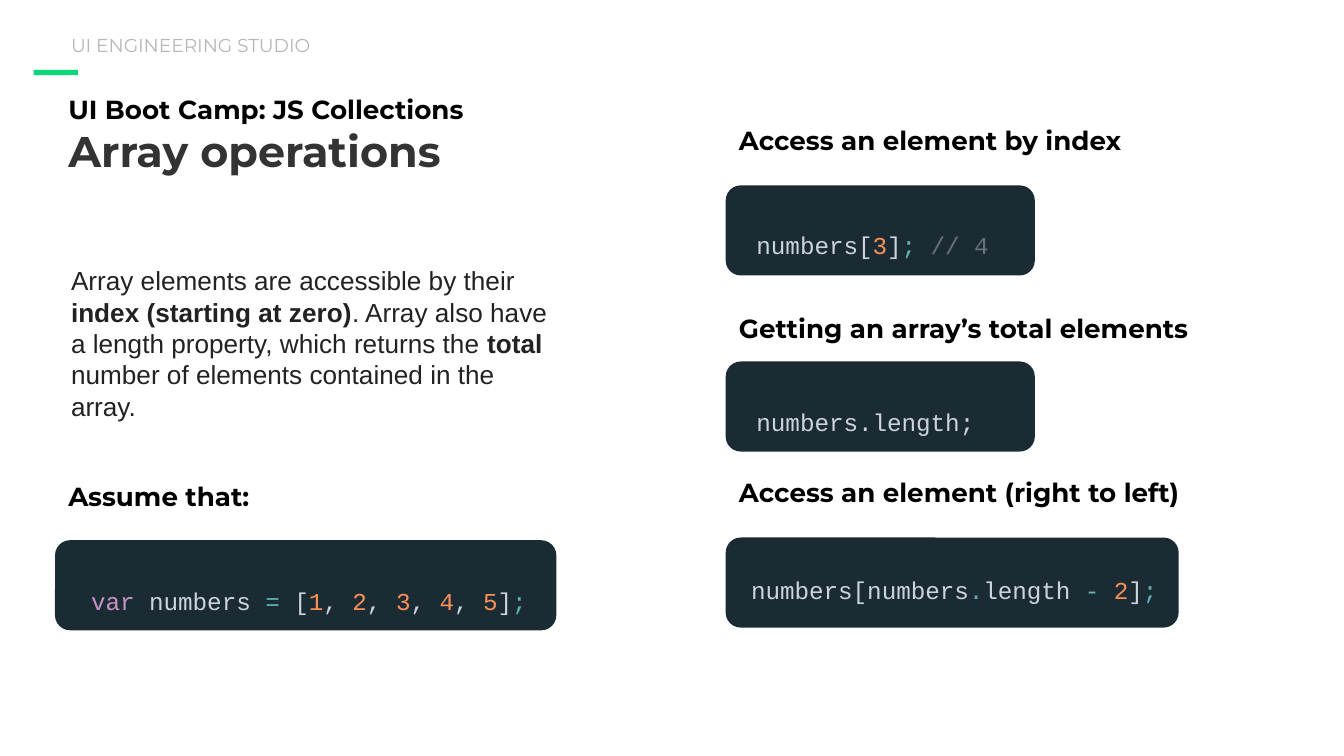
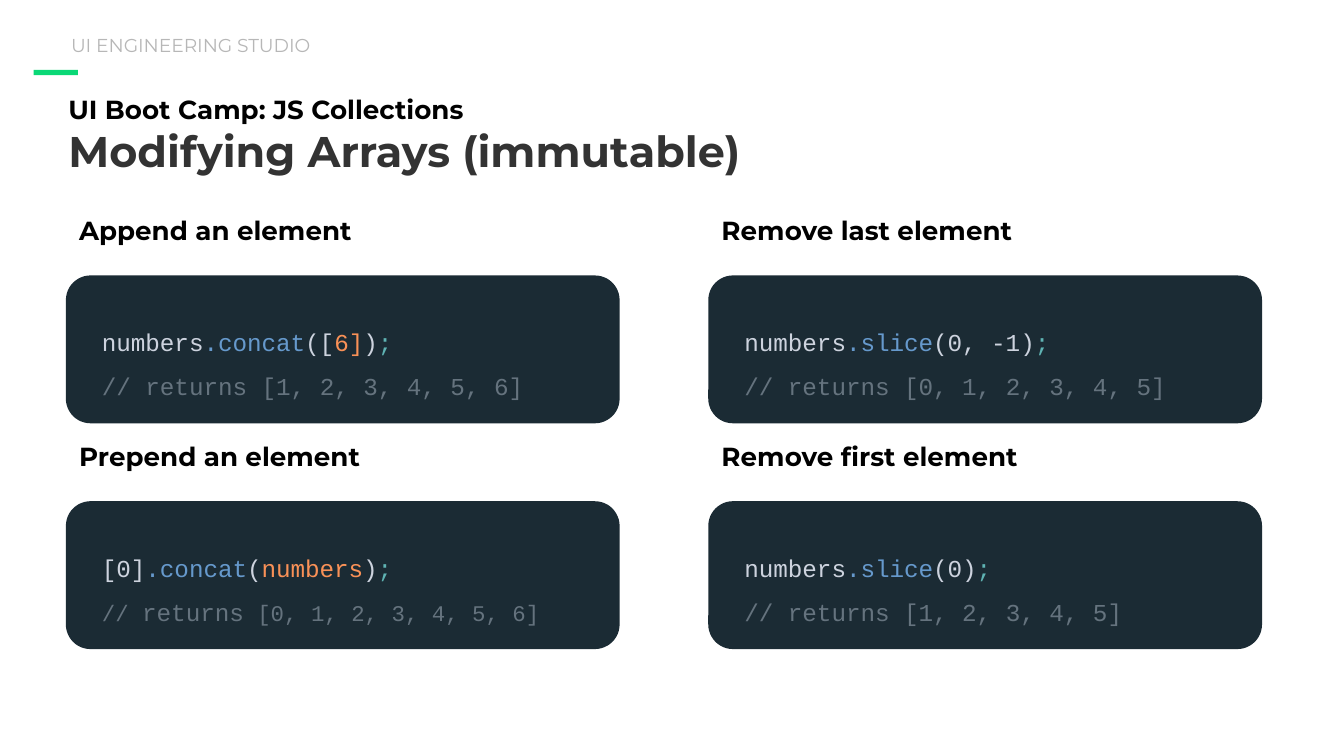
from pptx import Presentation
from pptx import util as u
from pptx.dml.color import RGBColor
from pptx.enum import shapes, text

BLACK = RGBColor(0x00, 0x00, 0x00)
DARK = RGBColor(0x33, 0x33, 0x33)
INK = RGBColor(0x22, 0x22, 0x22)
PALE = RGBColor(0xB7, 0xB7, 0xB7)
GREEN = RGBColor(0x0A, 0xD8, 0x76)
NAVY = RGBColor(0x1B, 0x2B, 0x34)
WHITE = RGBColor(0xFF, 0xFF, 0xFF)
BASE = RGBColor(0xCD, 0xD3, 0xDE)
TEAL = RGBColor(0x5F, 0xB3, 0xB3)
CORAL = RGBColor(0xF9, 0x91, 0x57)
BLUE = RGBColor(0x66, 0x99, 0xCC)
MAUVE = RGBColor(0xC5, 0x94, 0xC5)
GREY = RGBColor(0x65, 0x73, 0x7E)

WIDE = 10
HIGH = WIDE * 9 / 16
HEAD, BODY, CODE = "Montserrat", "Arial", "Courier New"
STUDIO = "UI ENGINEERING STUDIO"
COURSE = "UI Boot Camp: JS Collections"
END = (";", TEAL)

INTRO = [
    ("Array elements are accessible by their ", False),
    ("index (starting at zero)", True),
    (". Array also have a length property, which returns the ", False),
    ("total", True),
    (" number of elements contained in the array.", False),
]

LIST = [("var", MAUVE), (" numbers", BASE), (" =", TEAL), (" [", BASE), ("1", CORAL)]
for digit in "2345":
    LIST += [(", ", BASE), (digit, CORAL)]
LIST += [("]", BASE), END]

ACCESS = [
    ("Assume that:", (0.41, 4.02, 3.73), (0.58, 3.14), (0.17, 0.12, 3.86), LIST),
    ("Access an element by index", (5.4, 1.38, 2.3), (0.59, 3.14), (0.13, 0.11, 2.02),
     [("numbers[", BASE), ("3", CORAL), ("]", BASE), END, (" // 4", GREY)]),
    ("Getting an array’s total elements", (5.4, 2.69, 2.3), (0.5, 3.65), (0.13, 0.12, 2.02),
     [("numbers.length;", BASE)]),
    ("Access an element (right to left)", (5.4, 4, 3.37), (0.59, 3.65), (0.09, 0.06, 3.28),
     [("numbers[numbers", BASE), (".", TEAL), ("length", BASE), (" - ", TEAL),
      ("2", CORAL), ("]", BASE), END]),
]

CHANGE = [
    [("Append an element",
      [("numbers", BASE), (".concat", BLUE), ("([", BASE), ("6]", CORAL), (")", BASE), END],
      [("// returns [1, 2, 3, 4, 5, 6]", GREY)]),
     ("Remove last element",
      [("numbers", BASE), (".slice", BLUE), ("(0, -1)", BASE), END],
      [("// returns [0, 1, 2, 3, 4, 5]", GREY)])],
    [("Prepend an element",
      [("[0]", BASE), (".concat", BLUE), ("(", BASE), ("numbers", CORAL), (")", BASE), END],
      [("// ", GREY, 12), ("returns", GREY), (" [0, 1, 2, 3, 4, 5, 6]", GREY, 12)]),
     ("Remove first element",
      [("numbers", BASE), (".slice", BLUE), ("(0)", BASE), END],
      [("// returns [1, 2, 3, 4, 5]", GREY)])],
]


def span(*sizes):
    return [u.Inches(size) for size in sizes]


def block(slide, kind, place, color):
    shape = slide.shapes.add_shape(kind, *span(*place))
    shape.shadow.inherit = False
    shape.fill.solid()
    shape.fill.fore_color.rgb = color
    shape.line.fill.background()


def frame(slide, place, middle=False):
    box = slide.shapes.add_textbox(*span(*place)).text_frame
    box.word_wrap = True
    box.margin_left = box.margin_right = u.Inches(0.1)
    box.margin_top = box.margin_bottom = u.Inches(0.1)
    box.vertical_anchor = text.MSO_ANCHOR.MIDDLE if middle else text.MSO_ANCHOR.TOP
    return box


def write(para, words, face, size, color, bold=False):
    run = para.add_run()
    run.text = words
    run.font.name = face
    run.font.size = u.Pt(size)
    run.font.bold = bold
    run.font.color.rgb = color


def label(slide, words, place, size=14, color=BLACK, bold=True, middle=False):
    box = frame(slide, place, middle)
    para = box.paragraphs[0]
    para.line_spacing = 1.15
    write(para, words, HEAD, size, color, bold)
    return box


def code(slide, place, lines):
    box = frame(slide, place, True)
    for row, line in enumerate(lines):
        para = box.add_paragraph() if row else box.paragraphs[0]
        para.line_spacing = 1.5
        for words, color, *size in line:
            write(para, words, CODE, size[0] if size else 13, color)


def start(deck, title, width):
    slide = deck.slides.add_slide(deck.slide_layouts[6])
    slide.background.fill.solid()
    slide.background.fill.fore_color.rgb = WHITE
    box = label(slide, COURSE, (0.41, 0.56, width, 0.95))
    write(box.add_paragraph(), title, HEAD, 23, DARK, True)
    block(slide, shapes.MSO_SHAPE.RECTANGLE, (0.25, 0.52, 0.33, 0.04), GREEN)
    label(slide, STUDIO, (0.43, 0.19, 3.78, 0.26), 10, PALE, False, True)
    return slide


def panel(slide, title, place, rise, width, inset, lines):
    left, top, wide, high = place
    dx, dy, room, tall = inset
    block(slide, shapes.MSO_SHAPE.ROUNDED_RECTANGLE, place, NAVY)
    label(slide, title, (left, top - rise, width, 0.51))
    code(slide, (left + dx, top + dy, room, tall), lines)


def access(deck):
    slide = start(deck, "Array operations", 4.59)
    for title, place, (rise, width), inset, line in ACCESS:
        panel(slide, title, (*place, 0.67), rise, width, (*inset, 0.55), [line])
    para = frame(slide, (0.43, 1.87, 3.78, 1.33)).paragraphs[0]
    for words, bold in INTRO:
        write(para, words, BODY, 14, INK, bold)


def change(deck):
    slide = start(deck, "Modifying Arrays (immutable)", 5.45)
    for row, cells in enumerate(CHANGE):
        for col, (title, *lines) in enumerate(cells):
            place = (0.49 + 4.78 * col, 2.05 + 1.68 * row, 4.12, 1.1)
            panel(slide, title, place, 0.59, 3.14, (0.17, 0.16, 3.78, 0.89), lines)


def main():
    deck = Presentation()
    deck.slide_width, deck.slide_height = span(WIDE, HIGH)
    access(deck)
    change(deck)
    deck.save("out.pptx")


if __name__ == "__main__":
    main()
